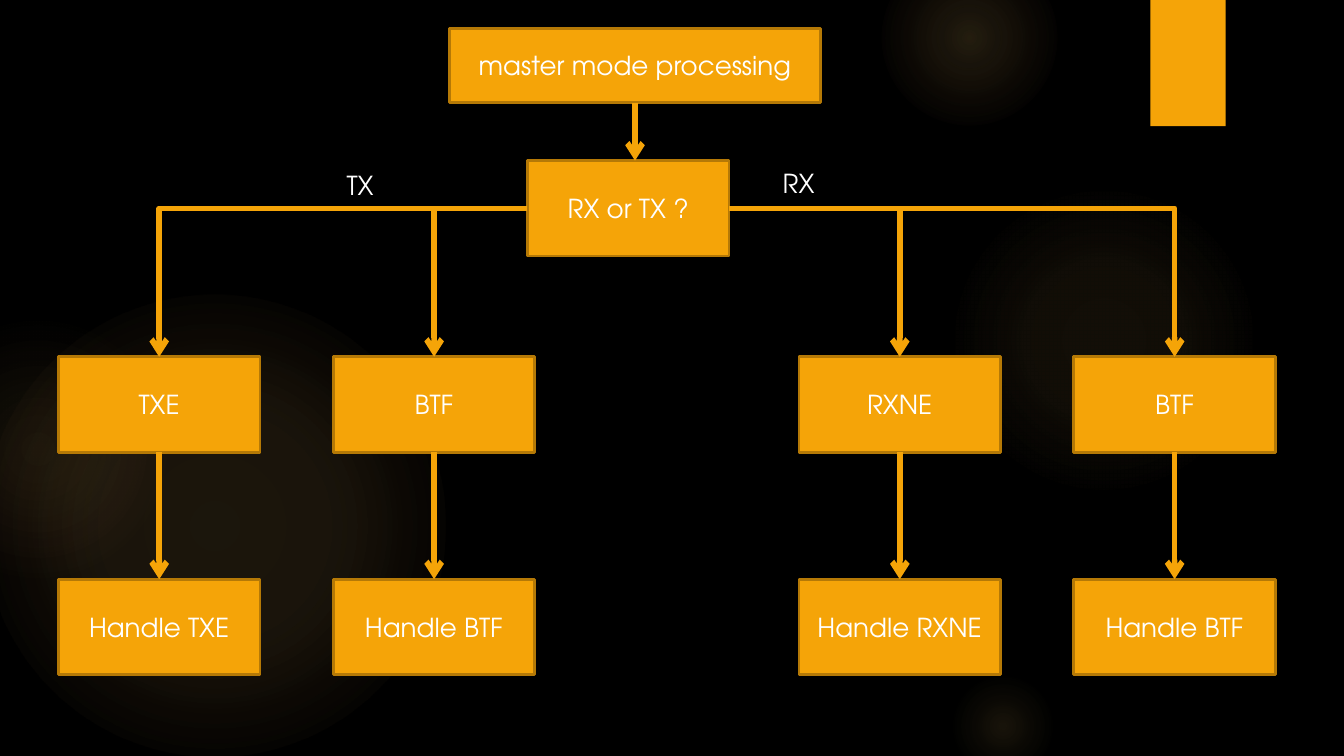
"""Draw the master mode processing flow chart on one slide."""
from dataclasses import dataclass

from lxml import etree
from pptx import Presentation
from pptx.dml.color import RGBColor
from pptx.enum.shapes import MSO_CONNECTOR, MSO_SHAPE
from pptx.enum.text import MSO_ANCHOR, MSO_AUTO_SIZE, PP_ALIGN
from pptx.oxml.ns import qn
from pptx.shapes.autoshape import Shape
from pptx.shapes.connector import Connector
from pptx.shapes.shapetree import SlideShapes
from pptx.util import Pt

RECT, OVAL = MSO_SHAPE.RECTANGLE, MSO_SHAPE.OVAL
LINE, ELBOW = MSO_CONNECTOR.STRAIGHT, MSO_CONNECTOR.ELBOW
MIDDLE, CENTER = MSO_ANCHOR.MIDDLE, PP_ALIGN.CENTER
GROW = MSO_AUTO_SIZE.SHAPE_TO_FIT_TEXT
TOP, LEFT, BOTTOM, RIGHT = range(4)
PX = 4572
WIDE, HIGH = 300, 142
FLAG_Y, TASK_Y = 531, 862
HUES = {"back": "000000", "fill": "F5A408", "edge": "B57906",
        "text": "FFFFFF", "glow": "FAC96A", "rose": "F59B74"}
FONT = {"name": "TeX Gyre Adventor", "size": Pt(14)}
BOX = {"vertical_anchor": MIDDLE, "word_wrap": True}
LABEL = {"word_wrap": False, "auto_size": GROW}


@dataclass(frozen=True)
class Area:
    x: int
    y: int
    w: int = WIDE
    h: int = HIGH

    def emu(self) -> list[int]:
        return [n * PX for n in (self.x, self.y, self.w, self.h)]


@dataclass(frozen=True)
class Glow:
    x: int
    y: int
    size: int
    stops: tuple[tuple[int, int], ...]
    rim: str = "glow"


@dataclass(frozen=True)
class Branch:
    x: int
    flag: str
    side: int | None = None


GLOWS = (
    Glow(-25, 438, 688, ((0, 11), (36, 10), (75, 0))),
    Glow(-138, 475, 388, ((0, 8), (36, 5), (71, 0)), "rose"),
    Glow(1412, 275, 462, ((0, 7), (36, 6), (69, 0))),
    Glow(1312, -75, 262, ((0, 14), (36, 7), (73, 0))),
    Glow(1412, 1000, 162, ((0, 10), (31, 5), (66, 0))),
)
BRANCHES = (
    Branch(87, "TXE", LEFT), Branch(496, "BTF"),
    Branch(1189, "RXNE"), Branch(1598, "BTF", RIGHT),
)
LABELS = (("RX", Area(1145, 240, 88, 68)), ("TX", Area(496, 242, 82, 68)))
CHOICE = Area(785, 239)


def color(key: str) -> RGBColor:
    return RGBColor.from_string(HUES[key])


def style(target: object, values: dict) -> None:
    for name, value in values.items():
        setattr(target, name, value)


def write(shape: Shape, text: str, form: dict) -> None:
    style(shape.text_frame, form)
    run = shape.text_frame.paragraphs[0].add_run()
    run.text = text
    style(run.font, FONT)
    run.font.color.rgb = color("text")


def add_plain(shapes: SlideShapes, kind: MSO_SHAPE, area: Area) -> Shape:
    shape = shapes.add_shape(kind, *area.emu())
    shape.shadow.inherit = False
    shape.fill.solid()
    shape.fill.fore_color.rgb = color("fill")
    shape.line.fill.background()
    return shape


def add_glow(shapes: SlideShapes, glow: Glow) -> None:
    shape = add_plain(shapes, OVAL, Area(glow.x, glow.y, glow.size, glow.size))
    grad = etree.Element(qn("a:gradFill"), rotWithShape="1")
    stops = etree.SubElement(grad, qn("a:gsLst"))
    for place, alpha in glow.stops:
        stop = etree.SubElement(stops, qn("a:gs"), pos=str(place * 1000))
        hue = HUES["glow" if alpha else glow.rim]
        tint = etree.SubElement(stop, qn("a:srgbClr"), val=hue)
        etree.SubElement(tint, qn("a:alpha"), val=str(alpha * 1000))
    ring = etree.SubElement(grad, qn("a:path"), path="circle")
    sides = dict.fromkeys("ltrb", "50000")
    etree.SubElement(ring, qn("a:fillToRect"), sides)
    props = shape.element.spPr
    props.replace(props.find(qn("a:solidFill")), grad)


def add_box(shapes: SlideShapes, text: str, area: Area) -> Shape:
    box = add_plain(shapes, RECT, area)
    box.line.fill.solid()
    box.line.color.rgb = color("edge")
    box.line.width = Pt(1.5)
    write(box, text, BOX)
    box.text_frame.paragraphs[0].alignment = CENTER
    return box


def add_arrow(shapes: SlideShapes, start: tuple[int, int],
              end: tuple[int, int], kind: MSO_CONNECTOR = LINE) -> Connector:
    ends = [n * PX for n in (*start, *end)]
    arrow = shapes.add_connector(kind, *ends)
    arrow.line.color.rgb = color("fill")
    arrow.line.width = Pt(3)
    props = arrow.element.spPr
    etree.SubElement(props.find(qn("a:ln")), qn("a:tailEnd"), type="arrow")
    etree.SubElement(props, qn("a:effectLst"))
    if kind == ELBOW:
        props.find(qn("a:prstGeom")).set("prst", "bentConnector2")
    return arrow


def add_branch(shapes: SlideShapes, branch: Branch, choice: Shape) -> None:
    flag = add_box(shapes, branch.flag, Area(branch.x, FLAG_Y))
    task = add_box(shapes, f"Handle {branch.flag}", Area(branch.x, TASK_Y))
    mid = branch.x + WIDE // 2
    level = CHOICE.y + HIGH // 2
    if branch.side is None:
        feed = add_arrow(shapes, (mid, level), (mid, FLAG_Y))
    else:
        edge = CHOICE.x if branch.side == LEFT else CHOICE.x + WIDE
        feed = add_arrow(shapes, (edge, level), (mid, FLAG_Y), ELBOW)
        feed.begin_connect(choice, branch.side)
    feed.end_connect(flag, TOP)
    step = add_arrow(shapes, (mid, FLAG_Y + HIGH), (mid, TASK_Y))
    step.begin_connect(flag, BOTTOM)
    step.end_connect(task, TOP)


def main() -> None:
    deck = Presentation()
    style(deck, {"slide_width": 2000 * PX, "slide_height": 1125 * PX})
    slide = deck.slides.add_slide(deck.slide_layouts[6])
    slide.background.fill.solid()
    slide.background.fill.fore_color.rgb = color("back")
    shapes = slide.shapes
    for glow in GLOWS:
        add_glow(shapes, glow)
    add_plain(shapes, RECT, Area(1712, 0, 112, 188))
    title = add_box(shapes, "master mode processing",
                    Area(669, 42, 552, 111))
    choice = add_box(shapes, "RX or TX ?", CHOICE)
    for branch in BRANCHES:
        add_branch(shapes, branch, choice)
    for text, area in LABELS:
        write(shapes.add_textbox(*area.emu()), text, LABEL)
    entry = add_arrow(shapes, (945, 153), (945, CHOICE.y))
    entry.begin_connect(title, BOTTOM)
    deck.save("out.pptx")


if __name__ == "__main__":
    main()
